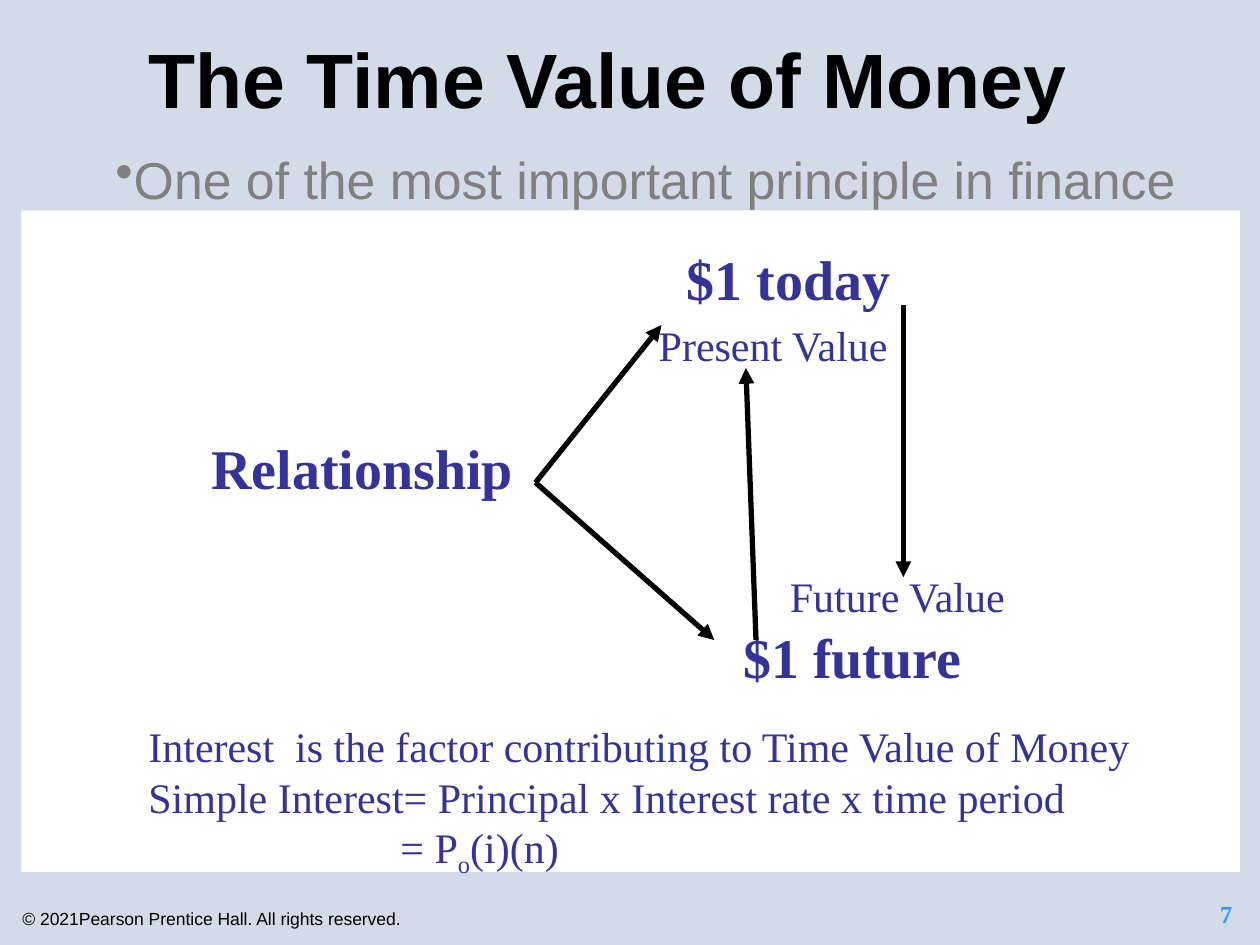
from dataclasses import dataclass

from lxml.etree import SubElement
from pptx import Presentation
from pptx.dml.color import RGBColor
from pptx.enum.shapes import MSO_CONNECTOR, MSO_SHAPE
from pptx.enum.text import MSO_ANCHOR, PP_ALIGN
from pptx.oxml.ns import qn
from pptx.util import Inches, Pt


@dataclass(frozen=True)
class Theme:
    background: str = "D3DBE8"
    panel: str = "FFFFFF"
    black: str = "000000"
    grey: str = "808080"
    navy: str = "333399"
    blue: str = "3399FF"
    sans: str = "Arial"
    serif: str = "Times New Roman"
    title: float = 44
    subtitle: float = 29.6
    heading: float = 32
    body: float = 24
    number: float = 14
    footer: float = 10
    arrow: float = 3


THEME = Theme()


def add_text(slide, box, lines, size, color, font=THEME.serif, bold=False,
             align=PP_ALIGN.LEFT, anchor=MSO_ANCHOR.TOP, wrap=True):
    frame = slide.shapes.add_textbox(*map(Inches, box)).text_frame
    frame.word_wrap = wrap
    frame.vertical_anchor = anchor
    frame.text = "\n".join(lines)
    for paragraph in frame.paragraphs:
        paragraph.alignment = align
        for run in paragraph.runs:
            run.font.name = font
            run.font.size = Pt(size)
            run.font.bold = bold
            run.font.color.rgb = RGBColor.from_string(color)
    return frame


def add_bullet(paragraph):
    properties = paragraph._p.get_or_add_pPr()
    properties.set("marL", "0")
    properties.set("indent", "0")
    SubElement(properties, qn("a:buChar")).set("char", "•")


def add_arrow(slide, start, end):
    arrow = slide.shapes.add_connector(
        MSO_CONNECTOR.STRAIGHT, *map(Inches, (*start, *end)))
    arrow.line.color.rgb = RGBColor.from_string(THEME.black)
    arrow.line.width = Pt(THEME.arrow)
    SubElement(arrow.line._get_or_add_ln(), qn("a:tailEnd")).set("type", "triangle")
    SubElement(arrow._element.spPr, qn("a:effectLst"))


def add_panel(slide, box):
    panel = slide.shapes.add_shape(MSO_SHAPE.RECTANGLE, *map(Inches, box))
    panel.shadow.inherit = False
    panel.fill.solid()
    panel.fill.fore_color.rgb = RGBColor.from_string(THEME.panel)
    panel.line.fill.background()


def add_formula(slide):
    frame = add_text(slide, (1.08, 5.67, 8.06, 1.31), [
        "Interest  is the factor contributing to Time Value of Money",
        "Simple Interest= Principal x Interest rate x time period",
        "= P",
    ], THEME.body, THEME.navy, wrap=False)
    # Indent the last line and give P its subscript
    formula = frame.paragraphs[-1]
    formula._p.get_or_add_pPr().set("marL", str(Inches(2)))
    for text, baseline in (("o", "-25000"), ("(i)(n)", "0")):
        run = formula.add_run()
        run.text = text
        run.font.name = THEME.serif
        run.font.size = Pt(THEME.body)
        run.font.color.rgb = RGBColor.from_string(THEME.navy)
        run.font._element.set("baseline", baseline)


def main():
    presentation = Presentation()
    presentation.slide_width, presentation.slide_height = Inches(10), Inches(7.5)
    slide = presentation.slides.add_slide(presentation.slide_layouts[6])

    # Background and panel
    slide.background.fill.solid()
    slide.background.fill.fore_color.rgb = RGBColor.from_string(THEME.background)
    add_panel(slide, (0.17, 1.67, 9.67, 5.25))

    # Title and subtitle
    add_text(slide, (0.58, 0.17, 8.5, 0.9), ["The Time Value of Money"],
             THEME.title, THEME.black, THEME.sans, True,
             PP_ALIGN.CENTER, MSO_ANCHOR.MIDDLE)
    subtitle = add_text(slide, (0.67, 1.12, 8.92, 0.83),
                        ["One of the most important principle in finance"],
                        THEME.subtitle, THEME.grey, THEME.sans,
                        align=PP_ALIGN.CENTER)
    add_bullet(subtitle.paragraphs[0])

    # Diagram headings, evenly spaced down the panel
    headings = ((5.35, "$1 today"), (1.58, "Relationship"), (5.8, "$1 future"))
    for row, (left, heading) in enumerate(headings):
        add_text(slide, (left, 1.89 + 1.5 * row, 2.7, 0.61), [heading],
                 THEME.heading, THEME.navy, bold=True)

    # Arrows between the headings
    relationship = (4.25, 3.83)
    for start, end in (
        (relationship, (5.25, 2.58)),
        (relationship, (5.67, 5.08)),
        ((6, 5.08), (5.92, 2.92)),
        ((7.17, 2.42), (7.17, 4.58)),
    ):
        add_arrow(slide, start, end)

    # Value labels and interest formula
    for box, label in (((5.13, 2.49, 2.04, 0.51), "Present Value"),
                       ((6.17, 4.48, 1.92, 0.51), "Future Value")):
        add_text(slide, box, [label], THEME.body, THEME.navy, wrap=False)
    add_formula(slide)

    # Footer
    add_text(slide, (0.08, 6.92, 6.17, 0.5),
             ["© 2021Pearson Prentice Hall. All rights reserved."],
             THEME.footer, THEME.black, THEME.sans, anchor=MSO_ANCHOR.BOTTOM)
    add_text(slide, (8.88, 6.92, 1, 0.5), ["7"], THEME.number, THEME.blue,
             bold=True, align=PP_ALIGN.RIGHT, anchor=MSO_ANCHOR.BOTTOM)

    presentation.save("out.pptx")


if __name__ == "__main__":
    main()
